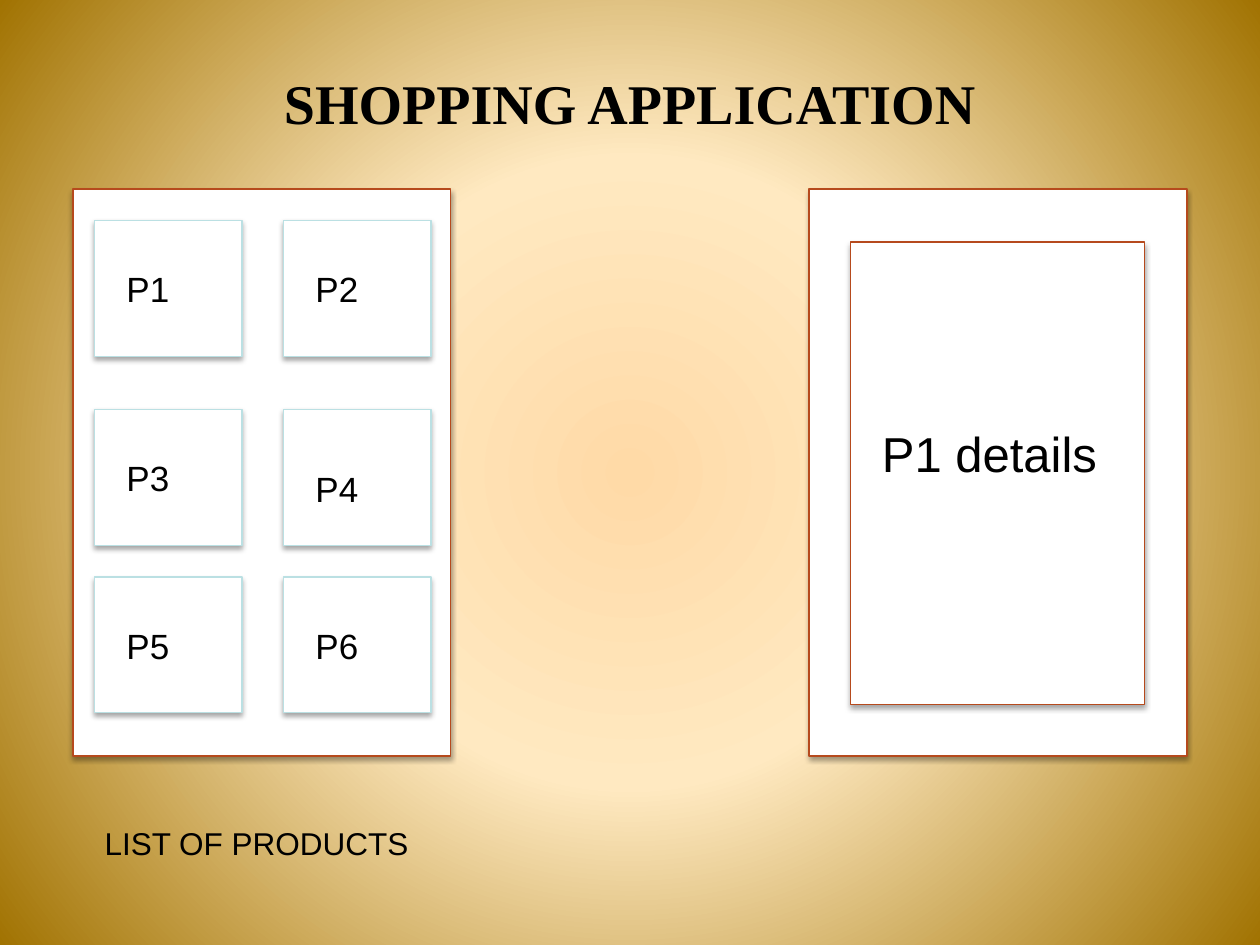
import pptx
import pptx.dml.color
import pptx.enum.shapes
import pptx.enum.text
import pptx.oxml
import pptx.oxml.ns
import pptx.util
from lxml import etree

Cm = pptx.util.Cm
Pt = pptx.util.Pt
qn = pptx.oxml.ns.qn

WHITE, BLACK = "FFFFFF", "000000"
RUST, PALE_BLUE = "B64A1D", "BBE0E3"
GRADIENT = [(0, "FFDAA7"), (40, "FFE9C1"), (100, "A17302")]

COLUMN_LEFTS = [1.91, 5.72]
ROW_TOPS = [4.45, 8.26, 11.63]
LABEL_INSET = 0.64
LABEL_DROPS = [[0.84, 0.84], [0.84, 1.07], [0.86, 0.86]]


def color(value):
    """Return the RGB colour for a hex string."""
    return pptx.dml.color.RGBColor.from_string(value)


def set_background(slide):
    """Fill the slide with a circular gradient."""
    slide.background.fill.solid()
    properties = slide.element.find(".//" + qn("p:bgPr"))
    stops = "".join(
        f'<a:gs pos="{position * 1000}"><a:srgbClr val="{value}"/></a:gs>'
        for position, value in GRADIENT
    )
    gradient = pptx.oxml.parse_xml(
        f'<a:gradFill {pptx.oxml.ns.nsdecls("a")} rotWithShape="1">'
        f"<a:gsLst>{stops}</a:gsLst>"
        '<a:path path="circle">'
        '<a:fillToRect l="50000" t="50000" r="50000" b="50000"/>'
        "</a:path></a:gradFill>"
    )
    properties.replace(properties.find(qn("a:solidFill")), gradient)


def add_shadow(shape):
    """Give a shape a soft shadow below it."""
    shape.shadow.inherit = False
    effects = shape.element.spPr.find(qn("a:effectLst"))
    shadow = etree.SubElement(
        effects, qn("a:outerShdw"), blurRad=str(Pt(3)), dist=str(Pt(1.8)),
        dir="5400000", rotWithShape="0",
    )
    shadow_color = etree.SubElement(shadow, qn("a:srgbClr"), val=BLACK)
    etree.SubElement(shadow_color, qn("a:alpha"), val="35000")


def add_box(slide, left, top, width, height, line_color):
    """Add a white rectangle with a thin outline and a shadow."""
    shape = slide.shapes.add_shape(
        pptx.enum.shapes.MSO_SHAPE.RECTANGLE,
        Cm(left), Cm(top), Cm(width), Cm(height),
    )
    shape.fill.solid()
    shape.fill.fore_color.rgb = color(WHITE)
    shape.line.color.rgb = color(line_color)
    shape.line.width = Pt(0.75)
    add_shadow(shape)


def write_text(shape, text, size, font_name="Arial", bold=False):
    """Write one formatted run into a frame without margins."""
    frame = shape.text_frame
    frame.word_wrap = True
    frame.auto_size = pptx.enum.text.MSO_AUTO_SIZE.NONE
    frame.vertical_anchor = pptx.enum.text.MSO_ANCHOR.MIDDLE
    frame.margin_left = frame.margin_right = 0
    frame.margin_top = frame.margin_bottom = 0
    run = frame.paragraphs[0].add_run()
    run.text = text
    run.font.name = font_name
    run.font.size = Pt(size)
    run.font.bold = bold
    run.font.color.rgb = color(BLACK)


def add_label(slide, text, left, top, width, height, size):
    """Add a left-aligned text box."""
    label = slide.shapes.add_textbox(Cm(left), Cm(top), Cm(width), Cm(height))
    write_text(label, text, size)


def set_title(slide, text):
    """Move the title placeholder and write the heading."""
    title = slide.shapes.title
    title.left, title.top = Cm(4.01), Cm(1.27)
    title.width, title.height = Cm(17.38), Cm(1.57)
    write_text(title, text, 32, "Times New Roman", True)
    title.text_frame.paragraphs[0].alignment = pptx.enum.text.PP_ALIGN.CENTER


def add_product_list(slide):
    """Add the panel with its grid of products and its caption."""
    add_box(slide, 1.47, 3.81, 7.62, 11.43, RUST)
    for row, top in enumerate(ROW_TOPS):
        for column, left in enumerate(COLUMN_LEFTS):
            number = row * len(COLUMN_LEFTS) + column + 1
            add_box(slide, left, top, 2.97, 2.74, PALE_BLUE)
            add_label(slide, f"P{number}", left + LABEL_INSET,
                      top + LABEL_DROPS[row][column], 1.47, 1.04, 20)
    add_label(slide, "LIST OF PRODUCTS", 2.11, 16.51, 7.19, 0.97, 18)


def add_product_details(slide):
    """Add the panel that shows one product."""
    add_box(slide, 16.31, 3.81, 7.62, 11.43, RUST)
    add_box(slide, 17.15, 4.88, 5.92, 9.32, RUST)
    add_label(slide, "P1 details", 17.78, 8.46, 5.92, 1.35, 28)


def main():
    """Build and save the presentation."""
    presentation = pptx.Presentation()
    presentation.slide_width, presentation.slide_height = Cm(25.4), Cm(19.05)
    slide = presentation.slides.add_slide(presentation.slide_layouts[5])
    set_background(slide)
    set_title(slide, "SHOPPING APPLICATION")
    add_product_list(slide)
    add_product_details(slide)
    presentation.save("out.pptx")


if __name__ == "__main__":
    main()
